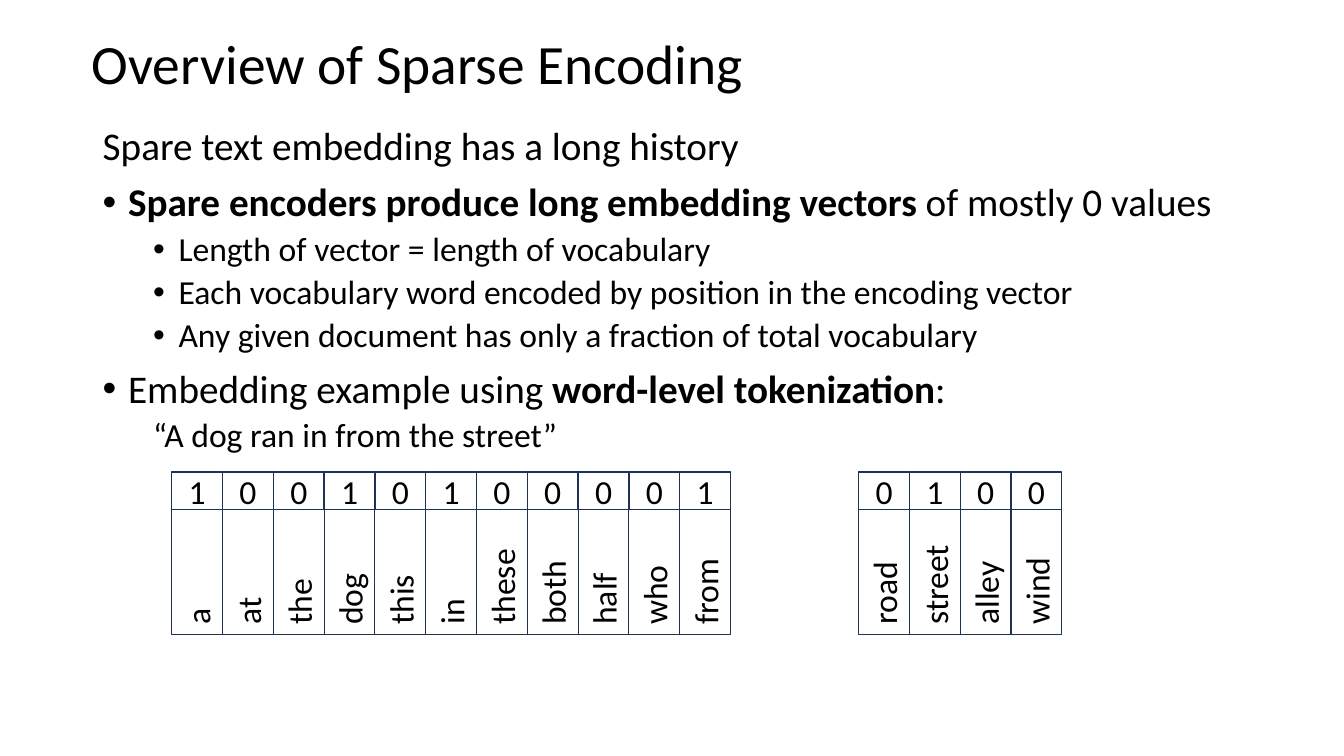
from dataclasses import dataclass

from lxml import etree
from pptx import Presentation
from pptx import util as u
from pptx.dml import color
from pptx.enum import shapes, text
from pptx.oxml import ns


@dataclass(frozen=True)
class Theme:
    """Hold the colours, font and type sizes."""
    font: str = "Calibri"
    bullet_font: str = "Arial"
    ink: color.RGBColor = color.RGBColor(0, 0, 0)
    border: color.RGBColor = color.RGBColor(0x1E, 0x32, 0x56)
    title: float = 39.6
    body: float = 28
    detail: float = 24
    leading: float = 0.9


def assign(obj, values):
    """Set every attribute named in a dict."""
    for name, value in values.items():
        setattr(obj, name, value)


class Deck:
    """Draw styled elements on the current slide."""

    def __init__(self, prs, theme):
        """Start one title-only slide."""
        self.theme = theme
        self.s = prs.slides.add_slide(prs.slide_layouts[5])

    def run(self, p, words, size, bold=False):
        """Add one styled run."""
        r = p.add_run()
        r.text = words
        assign(r.font, dict(name=self.theme.font, size=u.Pt(size), bold=bold))
        r.font.color.rgb = self.theme.ink

    def title(self, words, box):
        """Place and fill the title."""
        sp = self.s.shapes.title
        assign(sp, dict(zip(("left", "top", "width", "height"), map(u.Cm, box))))
        assign(sp.text_frame, dict(auto_size=text.MSO_AUTO_SIZE.NONE,
                                   vertical_anchor=text.MSO_ANCHOR.MIDDLE))
        p = sp.text_frame.paragraphs[0]
        assign(p, dict(alignment=text.PP_ALIGN.LEFT, line_spacing=self.theme.leading))
        self.run(p, words, self.theme.title)

    def outline(self, items, box):
        """Write paragraphs given as level, bullet, indent and runs."""
        tf = self.s.shapes.add_textbox(*map(u.Cm, box)).text_frame
        tf.word_wrap = True
        for i, (level, bullet, indent, runs) in enumerate(items):
            p = tf.add_paragraph() if i else tf.paragraphs[0]
            before = (5 if level else 10) if i else 0
            assign(p, dict(level=level, line_spacing=self.theme.leading,
                           space_before=u.Pt(before)))
            pPr = p._p.get_or_add_pPr()
            pPr.set("marL", str(u.Cm(indent)))
            pPr.set("indent", str(u.Cm(-0.64 if bullet else 0)))
            if bullet:
                etree.SubElement(pPr, ns.qn("a:buFont"), typeface=self.theme.bullet_font)
                etree.SubElement(pPr, ns.qn("a:buChar"), char="•")
            else:
                etree.SubElement(pPr, ns.qn("a:buNone"))
            size = self.theme.detail if level else self.theme.body
            for words, bold in runs:
                self.run(p, words, size, bold)

    def cell(self, words, box, weight, align, frame, rotation=0):
        """Draw one outlined cell with its text."""
        sp = self.s.shapes.add_shape(shapes.MSO_SHAPE.RECTANGLE, *map(u.Cm, box))
        sp.rotation = rotation
        sp.shadow.inherit = False
        sp.fill.background()
        sp.line.color.rgb = self.theme.border
        sp.line.width = u.Pt(weight)
        assign(sp.text_frame, frame)
        p = sp.text_frame.paragraphs[0]
        p.alignment = align
        self.run(p, words, self.theme.detail)

    def vector(self, left, top, entries):
        """Draw a row of values above a row of upright words."""
        pitch, value_height, word_length = 1.28, 0.95, 3.15
        middle = top + value_height + word_length / 2
        for i, (word, value) in enumerate(entries):
            x = left + i * pitch
            self.cell(str(value), (x, top, pitch, value_height), 1, text.PP_ALIGN.CENTER,
                      dict(vertical_anchor=text.MSO_ANCHOR.MIDDLE))
            self.cell(word, (x + (pitch - word_length) / 2, middle - pitch / 2,
                             word_length, pitch), 0.75, text.PP_ALIGN.LEFT,
                      dict(vertical_anchor=text.MSO_ANCHOR.TOP,
                           auto_size=text.MSO_AUTO_SIZE.SHAPE_TO_FIT_TEXT), 270)


OUTLINE = [
    (0, False, 0, [("Spare text embedding has a long history", False)]),
    (0, True, 0.64, [("Spare encoders produce long embedding vectors ", True),
                     ("of mostly 0 values", False)]),
    (1, True, 1.91, [("Length of vector = length of vocabulary", False)]),
    (1, True, 1.91, [("Each vocabulary word encoded by position in the encoding vector", False)]),
    (1, True, 1.91, [("Any given document has only a fraction of total vocabulary", False)]),
    (0, True, 0.64, [("Embedding example using ", False),
                     ("word-level tokenization", True), (":", False)]),
    (1, False, 1.27, [("“A dog ran in from the street”", False)]),
]
FIRST_WORDS = [("a", 1), ("at", 0), ("the", 0), ("dog", 1), ("this", 0), ("in", 1),
               ("these", 0), ("both", 0), ("half", 0), ("who", 0), ("from", 1)]
LAST_WORDS = [("road", 0), ("street", 1), ("alley", 0), ("wind", 0)]


def main():
    """Build and save the slide."""
    prs = Presentation()
    assign(prs, dict(slide_width=u.Cm(33.87), slide_height=u.Cm(19.05)))
    deck = Deck(prs, Theme())
    deck.title("Overview of Sparse Encoding", (2.06, 0.81, 29.21, 1.75))
    deck.outline(OUTLINE, (2.34, 3.07, 29.21, 8.53))
    for left, entries in ((4.33, FIRST_WORDS), (21.64, LAST_WORDS)):
        deck.vector(left, 11.89, entries)
    prs.save("out.pptx")


if __name__ == "__main__":
    main()
